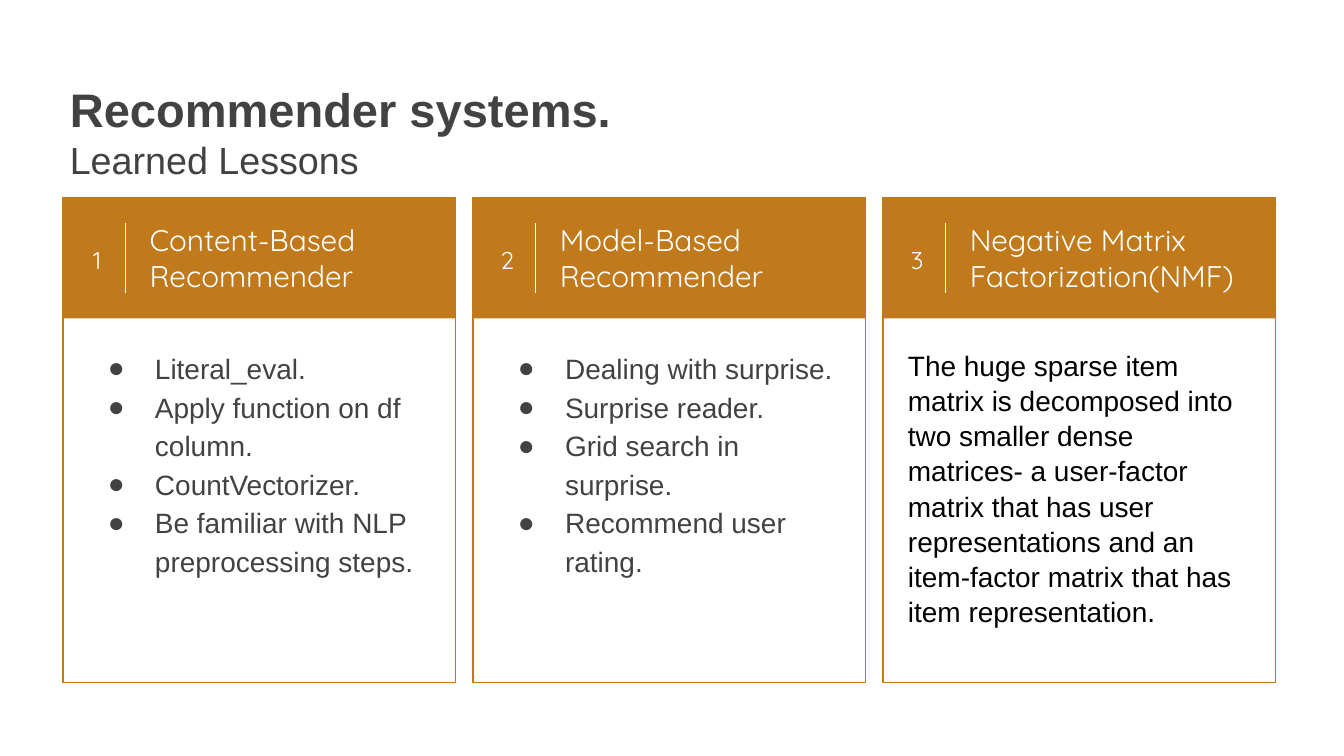
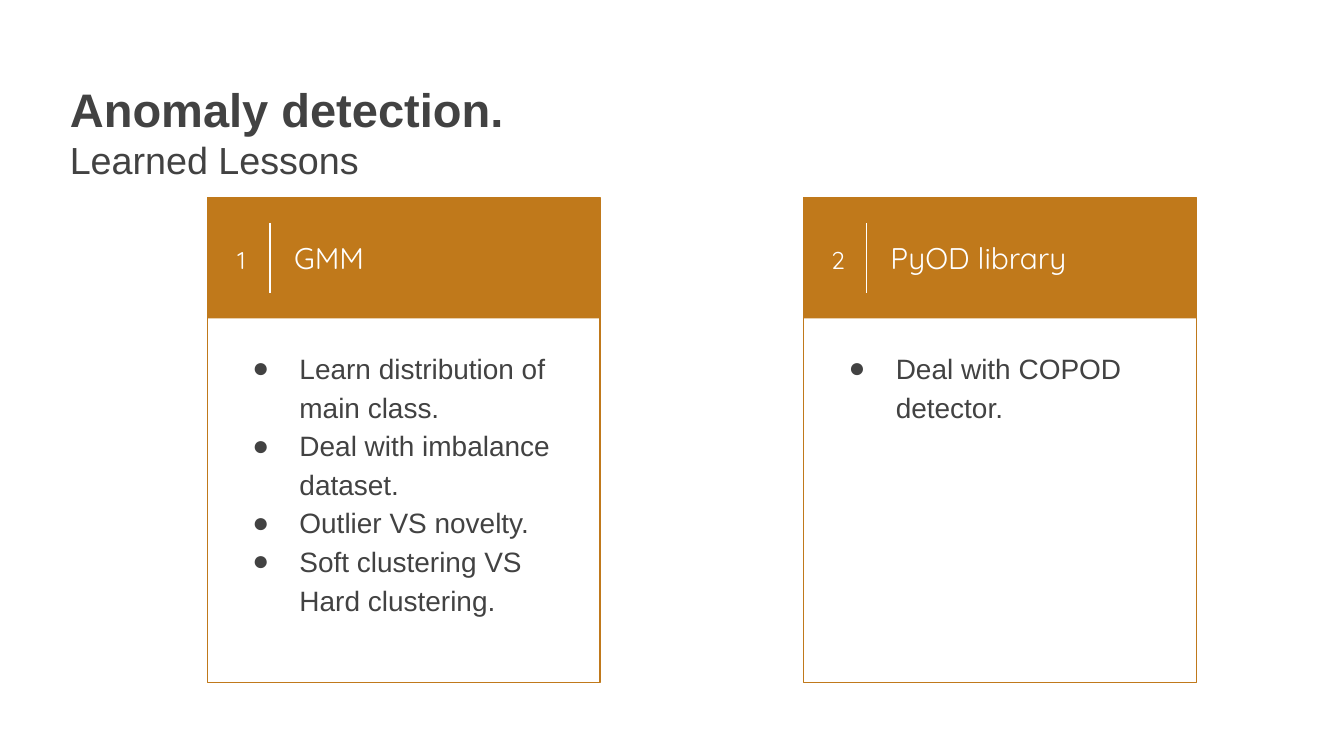
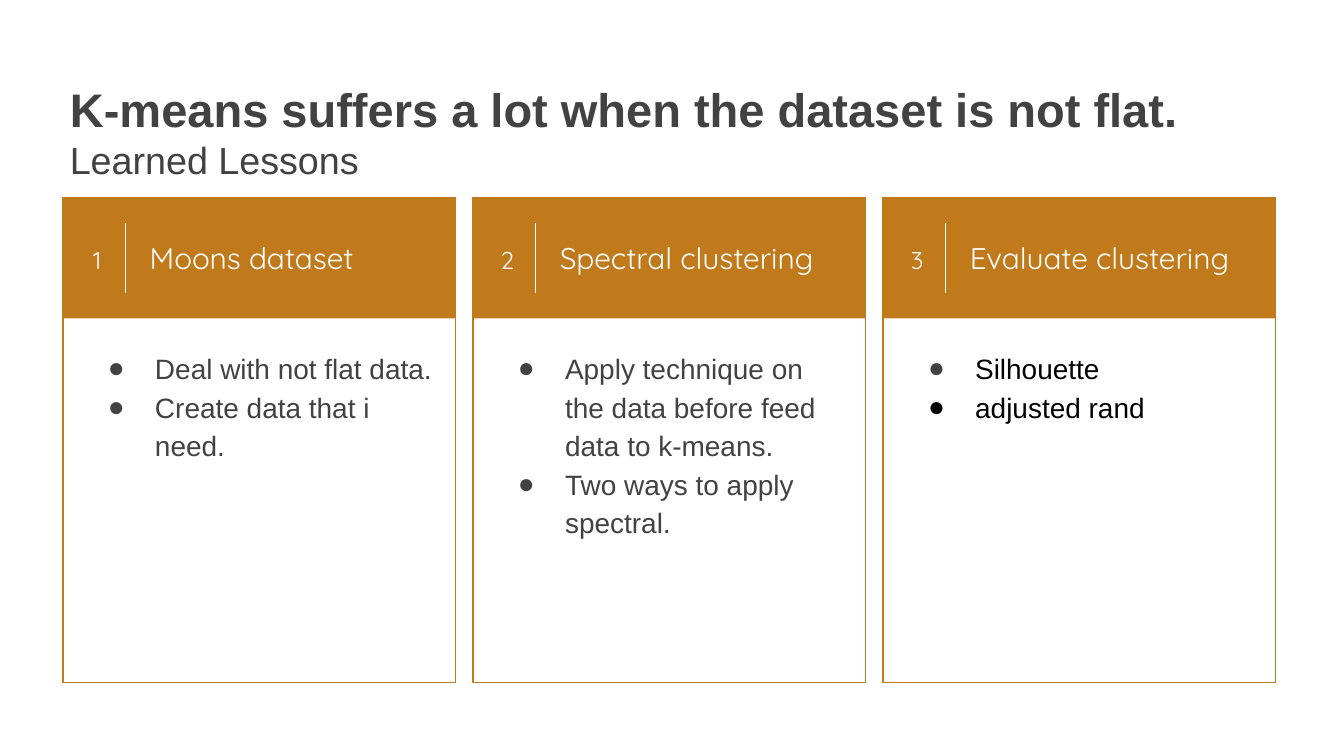
"""Build three "Learned Lessons" slides made of numbered cards."""
from dataclasses import dataclass
from typing import Optional

from lxml import etree
from pptx import Presentation
from pptx.dml.color import RGBColor
from pptx.enum.shapes import MSO_CONNECTOR, MSO_SHAPE
from pptx.enum.text import MSO_ANCHOR, MSO_AUTO_SIZE, PP_ALIGN
from pptx.oxml.ns import qn
from pptx.util import Cm, Pt

RECTANGLE = MSO_SHAPE.RECTANGLE
STRAIGHT = MSO_CONNECTOR.STRAIGHT
TOP, MIDDLE = MSO_ANCHOR.TOP, MSO_ANCHOR.MIDDLE
LEFT, CENTER = PP_ALIGN.LEFT, PP_ALIGN.CENTER
NO_AUTOFIT = MSO_AUTO_SIZE.NONE

COLORS = {"accent": "C0791B", "text": "424242", "black": "000000", "white": "FFFFFF"}
TEXT_FONT, CARD_FONT = "Arial", "Quicksand"
SUBTITLE = "Learned Lessons"
TITLE_BOX = (Cm(1.07), Cm(1.27), Cm(23.24), Cm(1.91))
INSET = Cm(0.25)

CARD_TOP, CARD_WIDTH, CARD_HEIGHT = Cm(3.73), Cm(7.42), Cm(9.17)
HEADER_HEIGHT = Cm(2.29)
DIVIDER_OFFSET, DIVIDER_TOP, DIVIDER_BOTTOM = Cm(1.18), Cm(4.22), Cm(5.54)
BODY_TOP, BODY_HEIGHT = Cm(6.3), Cm(6.6)
THIN = Pt(0.75)


@dataclass(frozen=True)
class Item:
    """One paragraph of a card; without a bullet colour it is plain text."""
    text: str
    color: str = "text"
    bullet: Optional[str] = "text"


@dataclass(frozen=True)
class Card:
    """A numbered card with a heading and its paragraphs."""
    heading: str
    items: tuple[Item, ...]


@dataclass(frozen=True)
class Lesson:
    """One slide: its title, its cards and where they stand, in centimetres."""
    title: str
    cards: tuple[Card, ...]
    first_left: float = 1.19
    pitch: float = 7.75


def bullets(*texts: str) -> tuple[Item, ...]:
    """Turn texts into ordinary bulleted items."""
    return tuple(Item(text) for text in texts)


LESSONS = (
    Lesson("Recommender systems.", (
        Card("Content-Based Recommender", bullets(
            "Literal_eval.", "Apply function on df column.", "CountVectorizer.",
            "Be familiar with NLP preprocessing steps.")),
        Card("Model-Based Recommender", bullets(
            "Dealing with surprise.", "Surprise reader.",
            "Grid search in surprise.", "Recommend user rating.")),
        Card("Negative Matrix Factorization(NMF)", (Item(
            "The huge sparse item matrix is decomposed into two smaller dense "
            "matrices- a user-factor matrix that has user representations and "
            "an item-factor matrix that has item representation.",
            "black", None),)),
    )),
    Lesson("Anomaly detection.", (
        Card("GMM", bullets(
            "Learn distribution of main class.", "Deal with imbalance dataset.",
            "Outlier VS novelty.", "Soft clustering VS Hard clustering.")),
        Card("PyOD library", bullets("Deal with COPOD detector.")),
    ), first_left=3.92, pitch=11.27),
    Lesson("K-means suffers a lot when the dataset is not flat.", (
        Card("Moons dataset", bullets(
            "Deal with not flat data.", "Create data that i need.")),
        Card("Spectral clustering", bullets(
            "Apply technique on the data before feed data to k-means.",
            "Two ways to apply spectral.")),
        Card("Evaluate clustering", (
            Item("Silhouette", "black"), Item("adjusted rand", "black", "black"))),
    )),
)


def rgb(name: str) -> RGBColor:
    """Look up a colour of the palette."""
    return RGBColor.from_string(COLORS[name])


def add_run(paragraph, text: str, size: float, font: str, color: str,
            bold: bool = False) -> None:
    """Add one formatted run to a paragraph."""
    run = paragraph.add_run()
    run.text = text
    run.font.size = Pt(size)
    run.font.name = font
    run.font.bold = bold
    run.font.color.rgb = rgb(color)


def format_frame(frame, anchor) -> None:
    """Give a text frame the shared insets, wrapping and an anchor."""
    frame.word_wrap = True
    frame.auto_size = NO_AUTOFIT
    frame.vertical_anchor = anchor
    frame.margin_left = frame.margin_right = INSET
    frame.margin_top = frame.margin_bottom = INSET


def add_frame(slide, left: int, top: int, width: int, height: int, anchor):
    """Add a text box and return its text frame."""
    frame = slide.shapes.add_textbox(left, top, width, height).text_frame
    format_frame(frame, anchor)
    return frame


def add_bullet(paragraph, color: str) -> None:
    """Give a paragraph a round bullet with a hanging indent."""
    properties = paragraph._p.get_or_add_pPr()
    properties.set("marL", str(Cm(1.27)))
    properties.set("indent", str(-Cm(0.89)))
    bullet_color = etree.SubElement(properties, qn("a:buClr"))
    etree.SubElement(bullet_color, qn("a:srgbClr"), val=COLORS[color])
    etree.SubElement(properties, qn("a:buFont"), typeface=TEXT_FONT)
    etree.SubElement(properties, qn("a:buChar"), char="●")


def add_title(slide, text: str) -> None:
    """Place the title placeholder and write title and subtitle."""
    title = slide.shapes.title
    title.left, title.top, title.width, title.height = TITLE_BOX
    frame = title.text_frame
    format_frame(frame, TOP)
    first, second = frame.paragraphs[0], frame.add_paragraph()
    first.alignment = second.alignment = LEFT
    add_run(first, text, 25.2, TEXT_FONT, "text", bold=True)
    add_run(second, SUBTITLE, 20.2, TEXT_FONT, "text")


def add_rectangle(slide, left: int, height: int, filled: bool) -> None:
    """Add a card rectangle, either filled or outlined."""
    shape = slide.shapes.add_shape(RECTANGLE, left, CARD_TOP, CARD_WIDTH, height)
    shape.shadow.inherit = False
    if filled:
        shape.fill.solid()
        shape.fill.fore_color.rgb = rgb("accent")
        shape.line.fill.background()
    else:
        shape.fill.background()
        shape.line.color.rgb = rgb("accent")
        shape.line.width = THIN


def add_divider(slide, x: int) -> None:
    """Add the white line between number and heading."""
    line = slide.shapes.add_connector(STRAIGHT, x, DIVIDER_TOP, x, DIVIDER_BOTTOM)
    line.line.color.rgb = rgb("white")
    line.line.width = THIN
    etree.SubElement(line._element.spPr, qn("a:effectLst"))


def add_items(frame, items: tuple[Item, ...]) -> None:
    """Write the paragraphs of a card."""
    for index, item in enumerate(items):
        paragraph = frame.add_paragraph() if index else frame.paragraphs[0]
        if item.bullet:
            paragraph.line_spacing = 1.15
            add_bullet(paragraph, item.bullet)
        else:
            paragraph.line_spacing = 1.05
            paragraph.space_after = Pt(12)
        add_run(paragraph, item.text, 15, TEXT_FONT, item.color)


def add_card(slide, card: Card, number: int, left: int) -> None:
    """Draw one card with its left edge at the given place."""
    add_rectangle(slide, left, CARD_HEIGHT, filled=False)
    add_rectangle(slide, left, HEADER_HEIGHT, filled=True)

    frame = add_frame(slide, left + Cm(0.16), CARD_TOP, Cm(0.97), HEADER_HEIGHT, MIDDLE)
    paragraph = frame.paragraphs[0]
    paragraph.alignment = CENTER
    paragraph.line_spacing = 1.15
    add_run(paragraph, str(number), 13, CARD_FONT, "white")

    add_divider(slide, left + DIVIDER_OFFSET)
    frame = add_frame(slide, left + Cm(1.39), CARD_TOP, Cm(5.84), HEADER_HEIGHT, MIDDLE)
    add_run(frame.paragraphs[0], card.heading, 16, CARD_FONT, "white")

    frame = add_frame(slide, left + Cm(0.22), BODY_TOP, Cm(7.04), BODY_HEIGHT, TOP)
    add_items(frame, card.items)


def main() -> None:
    """Build and save the presentation."""
    presentation = Presentation()
    presentation.slide_width = Cm(25.4)
    presentation.slide_height = Cm(14.29)
    title_only = presentation.slide_layouts[5]
    for lesson in LESSONS:
        slide = presentation.slides.add_slide(title_only)
        add_title(slide, lesson.title)
        for index, card in enumerate(lesson.cards):
            add_card(slide, card, index + 1,
                     Cm(lesson.first_left + index * lesson.pitch))
    presentation.save("out.pptx")


main()
